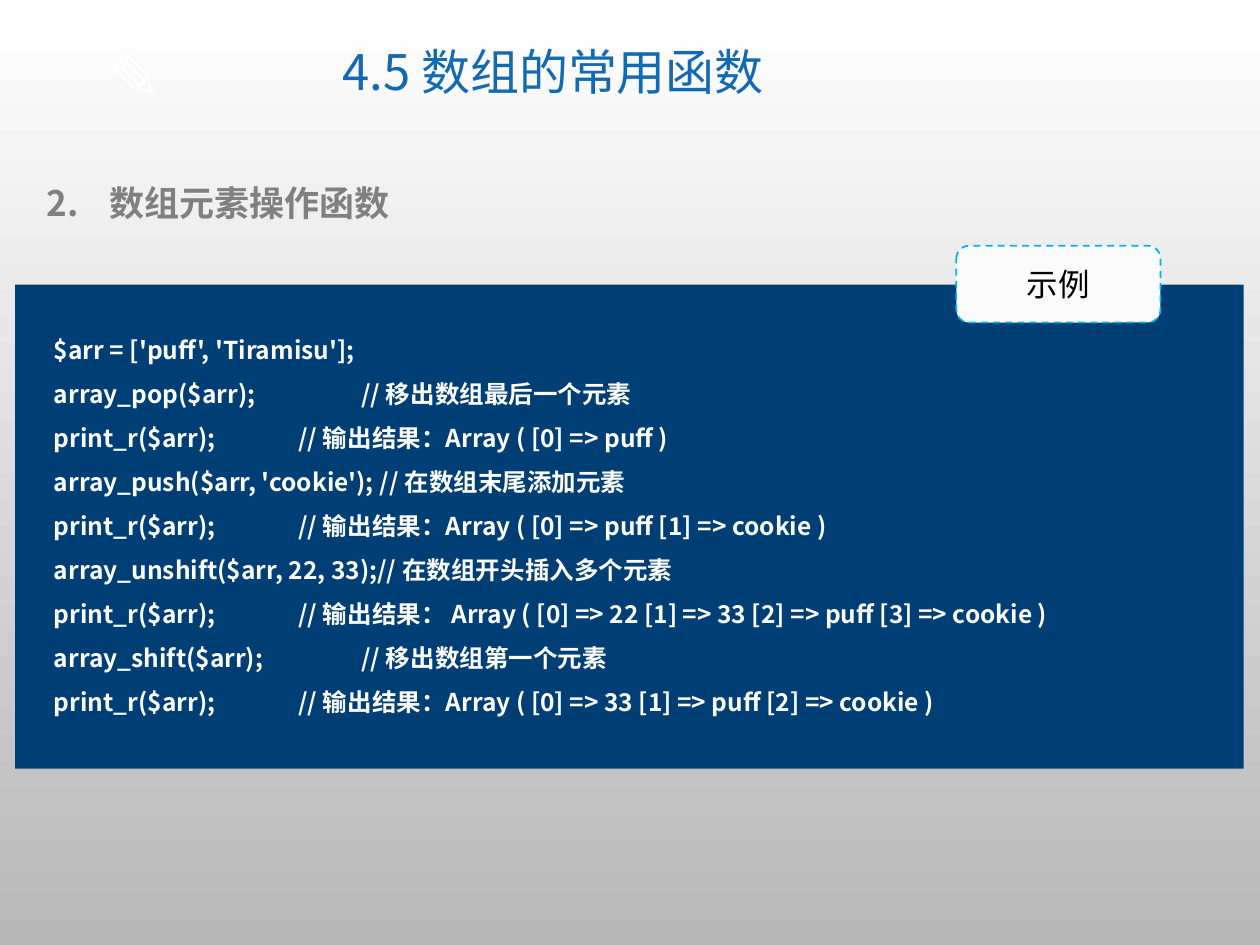
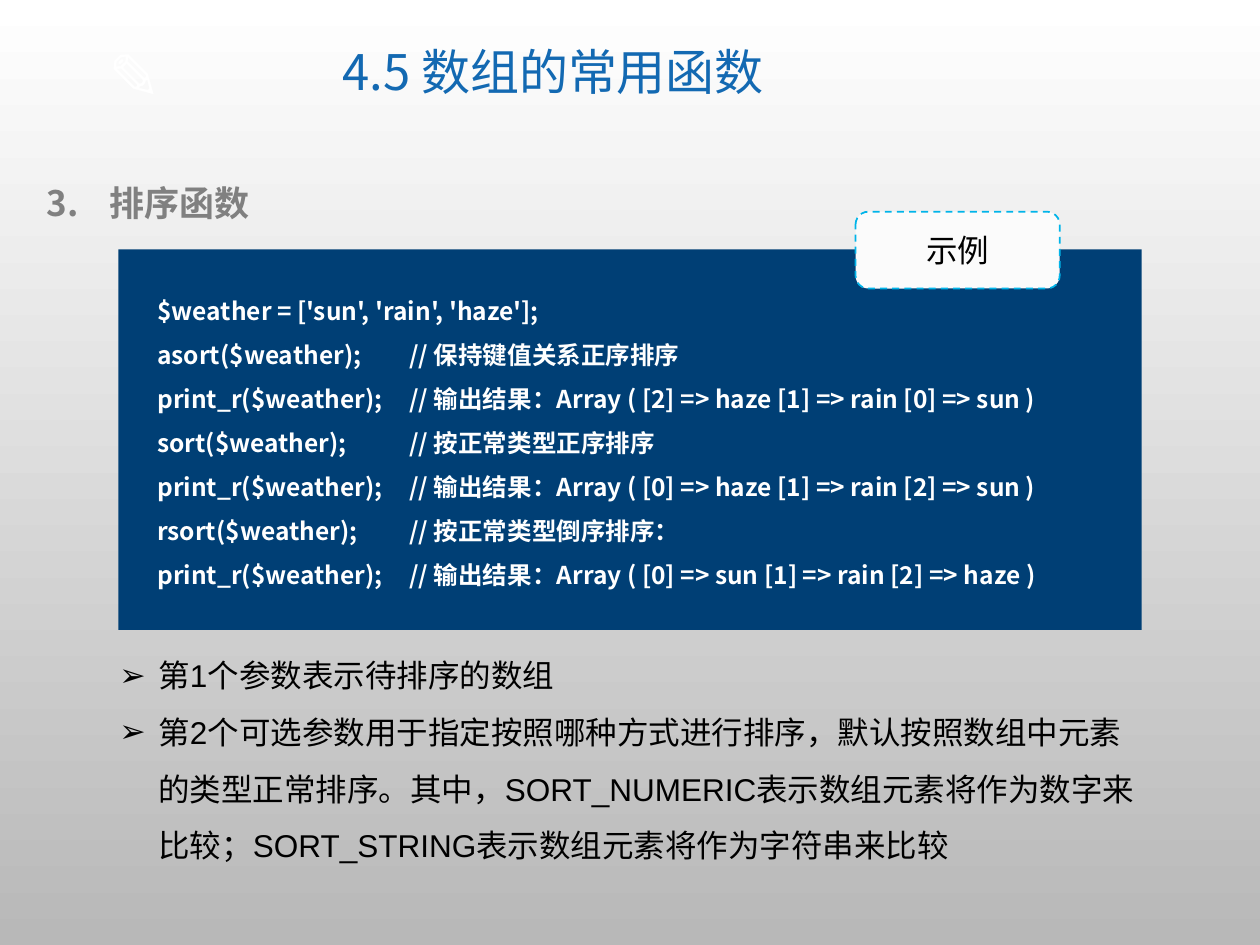
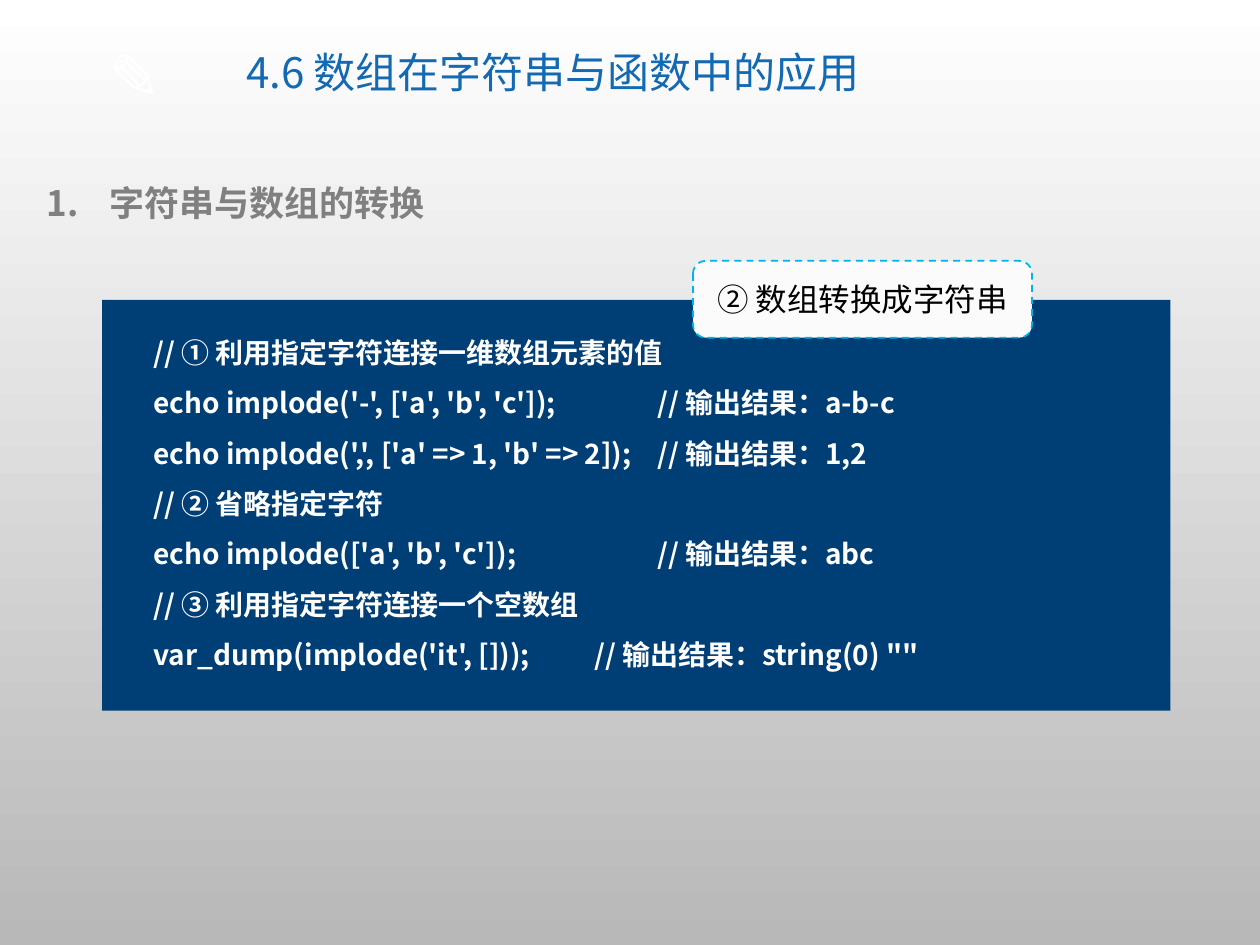
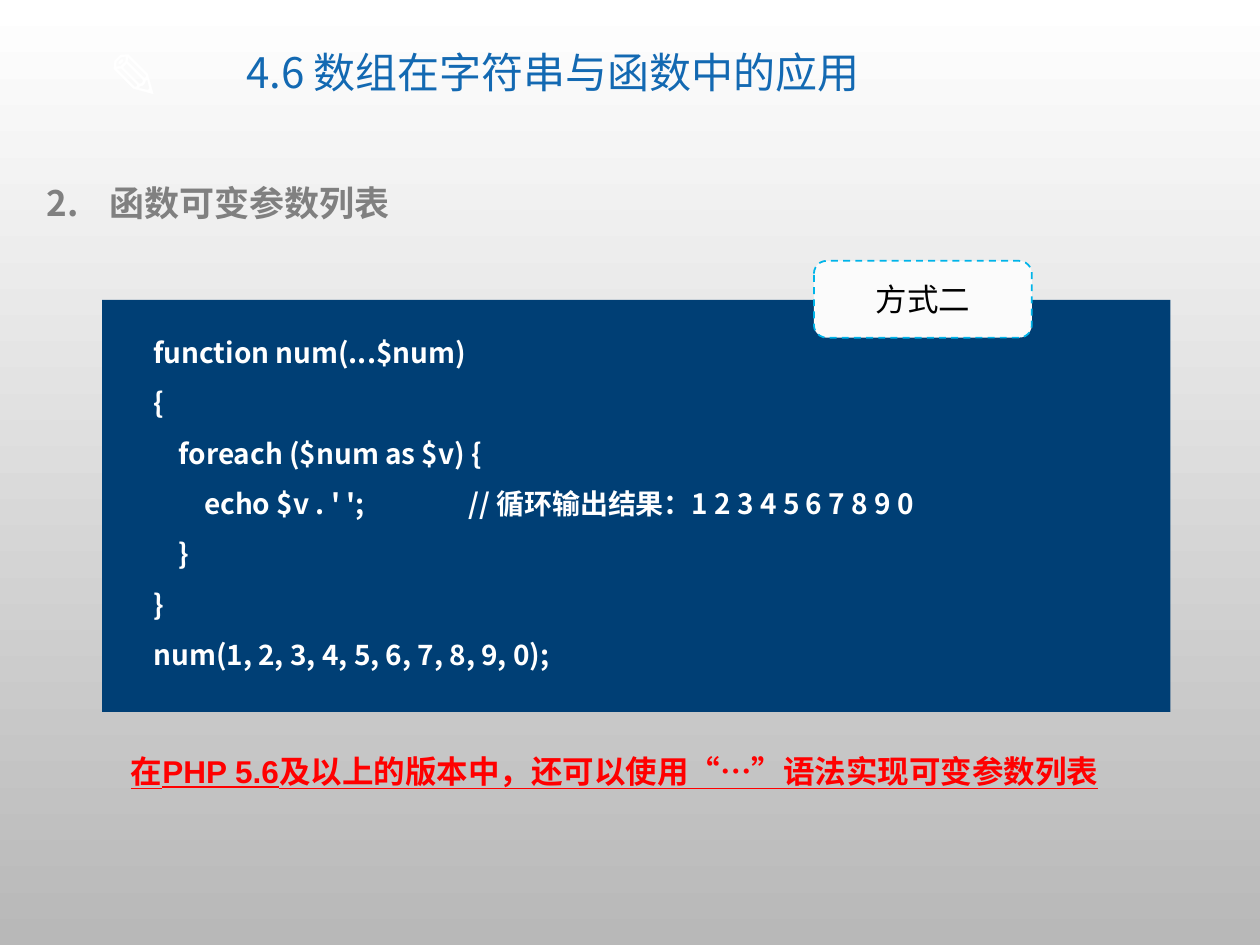
import pptx
import pptx.dml.color
import pptx.enum.dml
import pptx.enum.shapes
import pptx.enum.text
import pptx.oxml
import pptx.oxml.ns
import pptx.util
from pptx.util import Inches

COLORS = {
    "top": "FFFFFF",
    "bottom": "B8B8B8",
    "title": "1369B2",
    "heading": "808080",
    "panel": "003F75",
    "code": "FFFFFF",
    "label": "FBFBFB",
    "dash": "00B4E9",
    "body": "000000",
    "note": "FF0000",
}
CJK_FONT = "Noto Sans CJK SC"
CENTER = pptx.enum.text.PP_ALIGN.CENTER
MIDDLE = pptx.enum.text.MSO_ANCHOR.MIDDLE
HALF_INCH_STOPS = [step / 2 for step in range(1, 9)]


def rgb(name):
    return pptx.dml.color.RGBColor.from_string(COLORS[name])


def add_xml(parent, tag, **attributes):
    element = pptx.oxml.parse_xml(f"<a:{tag} {pptx.oxml.ns.nsdecls('a')}/>")
    for name, value in attributes.items():
        element.set(name, str(value))
    parent.append(element)
    return element


class Deck:
    """Holds the shared style and the slide being built."""

    def __init__(self):
        self.presentation = pptx.Presentation()
        self.presentation.slide_width = Inches(10)
        self.presentation.slide_height = Inches(7.5)
        self.slide = None
        fill = self.presentation.slide_master.background.fill
        fill.gradient()
        fill.gradient_angle = 270
        for stop, name in zip(fill.gradient_stops, ("top", "bottom")):
            stop.color.rgb = rgb(name)

    def start_slide(self, title, title_size, number, heading):
        layout = self.presentation.slide_layouts[6]
        self.slide = self.presentation.slides.add_slide(layout)
        pencil = self.text_frame(0.76, 0.24, 0.86, 0.71)
        pencil.word_wrap = False
        self.add_text(pencil.paragraphs[0], "✎", 36, "code", bold=True)

        frame = self.text_frame(1.81, 0.17, 5.16, 0.85)
        frame.vertical_anchor = MIDDLE
        paragraph = frame.paragraphs[0]
        paragraph.alignment = CENTER
        paragraph.line_spacing = 0.9
        self.add_text(paragraph, title, title_size, "title")

        paragraph = self.text_frame(0.27, 1.39, 9.22, 0.44).paragraphs[0]
        properties = self.hang(paragraph, 0.5)
        add_xml(properties, "buFont", typeface=CJK_FONT)
        add_xml(properties, "buAutoNum", type="arabicPeriod", startAt=number)
        self.add_text(paragraph, heading, 20, "heading", bold=True)

    def text_frame(self, left, top, width, height):
        box = self.slide.shapes.add_textbox(
            Inches(left), Inches(top), Inches(width), Inches(height))
        box.text_frame.word_wrap = True
        return box.text_frame

    def add_text(self, paragraph, text, size, color, font=CJK_FONT, bold=False, underline=False):
        run = paragraph.add_run()
        run.text = text
        run.font.size = pptx.util.Pt(size)
        run.font.name = font
        run.font.bold = bold
        run.font.underline = underline
        run.font.color.rgb = rgb(color)
        properties = run._r.get_or_add_rPr()
        properties.set("lang", "zh-CN")
        add_xml(properties, "ea", typeface=CJK_FONT)

    def hang(self, paragraph, indent):
        """Set a hanging indent and return the paragraph properties."""
        properties = paragraph._p.get_or_add_pPr()
        properties.set("marL", str(Inches(indent)))
        properties.set("indent", str(-Inches(indent)))
        return properties

    def paragraphs(self, frame, lines):
        for index, line in enumerate(lines):
            paragraph = frame.add_paragraph() if index else frame.paragraphs[0]
            paragraph.line_spacing = 1.5
            yield paragraph, line

    def shape(self, kind, left, top, width, height, color):
        shape = self.slide.shapes.add_shape(
            kind, Inches(left), Inches(top), Inches(width), Inches(height))
        shape.shadow.inherit = False
        shape.fill.solid()
        shape.fill.fore_color.rgb = rgb(color)
        shape.line.fill.background()
        return shape

    def code(self, panel, text_area, size, code, tab_stops=HALF_INCH_STOPS):
        self.shape(pptx.enum.shapes.MSO_SHAPE.RECTANGLE, *panel, "panel")
        frame = self.text_frame(*text_area)
        for paragraph, line in self.paragraphs(frame, code.strip("\n").split("\n")):
            tabs = add_xml(paragraph._p.get_or_add_pPr(), "tabLst")
            for stop in tab_stops:
                add_xml(tabs, "tab", pos=Inches(stop), algn="l")
            self.add_text(paragraph, line, size, "code", bold=True)

    def label(self, left, top, width, text):
        shape = self.shape(pptx.enum.shapes.MSO_SHAPE.ROUNDED_RECTANGLE,
                           left, top, width, 0.61, "label")
        shape.line.color.rgb = rgb("dash")
        shape.line.width = pptx.util.Pt(1)
        shape.line.dash_style = pptx.enum.dml.MSO_LINE.DASH
        shape.text_frame.vertical_anchor = MIDDLE
        paragraph = shape.text_frame.paragraphs[0]
        paragraph.alignment = CENTER
        self.add_text(paragraph, text, 18, "body", "Calibri")

    def bullets(self, area, items):
        for paragraph, item in self.paragraphs(self.text_frame(*area), items):
            properties = self.hang(paragraph, 0.31)
            add_xml(properties, "buFont", typeface="Arial")
            add_xml(properties, "buChar", char="➢")
            self.add_text(paragraph, item, 18, "body", "Arial")

    def note(self, area, text):
        paragraph = self.text_frame(*area).paragraphs[0]
        self.add_text(paragraph, text, 18, "note", "Arial", bold=True, underline=True)


ELEMENT_CODE = """
$arr = ['puff', 'Tiramisu'];
array_pop($arr);\t\t// 移出数组最后一个元素
print_r($arr);\t// 输出结果：Array ( [0] => puff )
array_push($arr, 'cookie'); // 在数组末尾添加元素
print_r($arr);\t// 输出结果：Array ( [0] => puff [1] => cookie )
array_unshift($arr, 22, 33);// 在数组开头插入多个元素
print_r($arr);\t// 输出结果： Array ( [0] => 22 [1] => 33 [2] => puff [3] => cookie )
array_shift($arr);\t\t// 移出数组第一个元素
print_r($arr);\t// 输出结果：Array ( [0] => 33 [1] => puff [2] => cookie )
"""

SORT_CODE = """
$weather = ['sun', 'rain', 'haze'];
asort($weather);\t// 保持键值关系正序排序
print_r($weather);\t// 输出结果：Array ( [2] => haze [1] => rain [0] => sun )
sort($weather);\t// 按正常类型正序排序
print_r($weather);\t// 输出结果：Array ( [0] => haze [1] => rain [2] => sun )
rsort($weather);\t// 按正常类型倒序排序：
print_r($weather);\t// 输出结果：Array ( [0] => sun [1] => rain [2] => haze )
"""

IMPLODE_CODE = """
// ① 利用指定字符连接一维数组元素的值
echo implode('-', ['a', 'b', 'c']);\t\t// 输出结果：a-b-c
echo implode(',', ['a' => 1, 'b' => 2]);\t// 输出结果：1,2
// ② 省略指定字符
echo implode(['a', 'b', 'c']);\t\t\t// 输出结果：abc
// ③ 利用指定字符连接一个空数组
var_dump(implode('it', []));\t\t// 输出结果：string(0) ""
"""

VARIADIC_CODE = """
function num(...$num)
{
    foreach ($num as $v) {
        echo $v . ' ';\t\t// 循环输出结果：1 2 3 4 5 6 7 8 9 0
    }
}
num(1, 2, 3, 4, 5, 6, 7, 8, 9, 0);
"""


def main():
    deck = Deck()
    functions_title = ("4.5 数组的常用函数", 28)
    usage_title = ("4.6 数组在字符串与函数中的应用", 24)

    deck.start_slide(*functions_title, 2, "数组元素操作函数")
    deck.code((0.12, 2.26, 9.75, 3.84), (0.33, 2.49, 9.54, 3.28), 14,
              ELEMENT_CODE, [1.94, 2.44])
    deck.label(7.59, 1.95, 1.62, "示例")

    deck.start_slide(*functions_title, 3, "排序函数")
    deck.code((0.94, 1.98, 8.12, 3.02), (1.15, 2.18, 7.92, 2.23), 14, SORT_CODE, [2])
    deck.label(6.79, 1.68, 1.62, "示例")
    deck.bullets((0.85, 5.01, 8.36, 1.92), [
        "第1个参数表示待排序的数组",
        "第2个可选参数用于指定按照哪种方式进行排序，默认按照数组中元素的类型正常排序。"
        "其中，SORT_NUMERIC表示数组元素将作为数字来比较；"
        "SORT_STRING表示数组元素将作为字符串来比较",
    ])

    deck.start_slide(*usage_title, 1, "字符串与数组的转换")
    deck.code((0.81, 2.38, 8.48, 3.26), (1.12, 2.48, 8.17, 2.93), 16, IMPLODE_CODE)
    deck.label(5.5, 2.07, 2.69, "② 数组转换成字符串")

    deck.start_slide(*usage_title, 2, "函数可变参数列表")
    deck.code((0.81, 2.38, 8.48, 3.27), (1.12, 2.48, 8.17, 2.88), 16, VARIADIC_CODE)
    deck.label(6.46, 2.07, 1.73, "方式二")
    deck.note((0.94, 5.92, 8.13, 0.4),
              "在PHP 5.6及以上的版本中，还可以使用“…”语法实现可变参数列表")

    deck.presentation.save("out.pptx")


if __name__ == "__main__":
    main()
